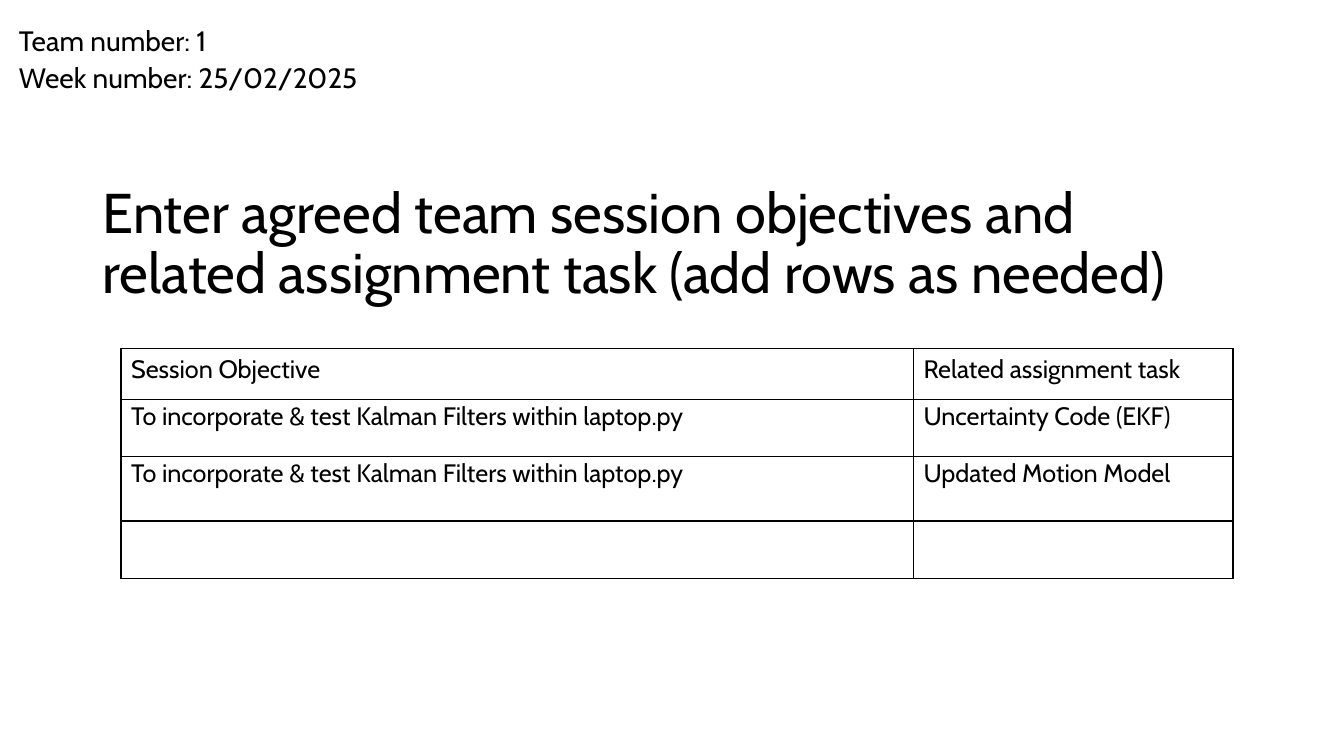
from dataclasses import dataclass

from lxml import etree
from pptx import Presentation
from pptx.dml.color import RGBColor
from pptx.enum.text import MSO_ANCHOR
from pptx.oxml.ns import qn
from pptx.util import Inches, Pt

MIDDLE = MSO_ANCHOR.MIDDLE
TOP = MSO_ANCHOR.TOP
BLANK_LAYOUT = 6


@dataclass(frozen=True)
class Theme:
    font: str = "Cabin"
    ink: str = "000000"
    title_size: int = 40
    details_size: int = 20
    table_size: int = 18
    border_width: int = 1


THEME = Theme()

TEAM_DETAILS = "Team number: 1\vWeek number: 25/02/2025"
TITLE = "Enter agreed team session objectives and related assignment task (add rows as needed)"
OBJECTIVES = [
    ("Session Objective", "Related assignment task"),
    ("To incorporate & test Kalman Filters within laptop.py", "Uncertainty Code (EKF)"),
    ("To incorporate & test Kalman Filters within laptop.py", "Updated Motion Model"),
    ("", ""),
]
COLUMN_WIDTHS = (7.86, 3.17)
ROW_HEIGHTS = (0.5, 0.57, 0.64, 0.57)


def style_paragraph(paragraph, size, line_spacing):
    paragraph.line_spacing = line_spacing
    paragraph.font.name = THEME.font
    paragraph.font.size = Pt(size)
    paragraph.font.color.rgb = RGBColor.from_string(THEME.ink)


def add_text(slide, box, text, size, line_spacing, anchor):
    frame = slide.shapes.add_textbox(*map(Inches, box)).text_frame
    frame.word_wrap = True
    frame.vertical_anchor = anchor
    frame.text = text
    style_paragraph(frame.paragraphs[0], size, line_spacing)


def add_borders(cell):
    properties = cell._tc.get_or_add_tcPr()
    for position, side in enumerate(("a:lnL", "a:lnR", "a:lnT", "a:lnB")):
        line = etree.Element(qn(side), w=str(Pt(THEME.border_width)))
        fill = etree.SubElement(line, qn("a:solidFill"))
        etree.SubElement(fill, qn("a:srgbClr"), val=THEME.ink)
        properties.insert(position, line)


def add_objectives_table(slide, left, top):
    size = (sum(COLUMN_WIDTHS), sum(ROW_HEIGHTS))
    table = slide.shapes.add_table(
        len(ROW_HEIGHTS), len(COLUMN_WIDTHS), *map(Inches, (left, top, *size))
    ).table
    table.first_row = False
    table.horz_banding = False
    for column, width in zip(table.columns, COLUMN_WIDTHS):
        column.width = Inches(width)
    for row_index, (row, height) in enumerate(zip(table.rows, ROW_HEIGHTS)):
        row.height = Inches(height)
        line_spacing = Pt(19.5) if row_index else 1.0
        for cell, text in zip(row.cells, OBJECTIVES[row_index]):
            cell.text = text
            cell.fill.background()
            style_paragraph(cell.text_frame.paragraphs[0], THEME.table_size, line_spacing)
            add_borders(cell)


def build_objectives_slide(presentation):
    slide = presentation.slides.add_slide(presentation.slide_layouts[BLANK_LAYOUT])
    add_text(slide, (0.92, 1.71, 11.5, 1.45), TITLE, THEME.title_size, 0.9, MIDDLE)
    add_text(slide, (0.09, 0.15, 10, 0.92), TEAM_DETAILS, THEME.details_size, 1.1, TOP)
    add_objectives_table(slide, 1.2, 3.46)


def main():
    presentation = Presentation()
    presentation.slide_width = Inches(13.33)
    presentation.slide_height = Inches(7.5)
    build_objectives_slide(presentation)
    presentation.save("out.pptx")


if __name__ == "__main__":
    main()
